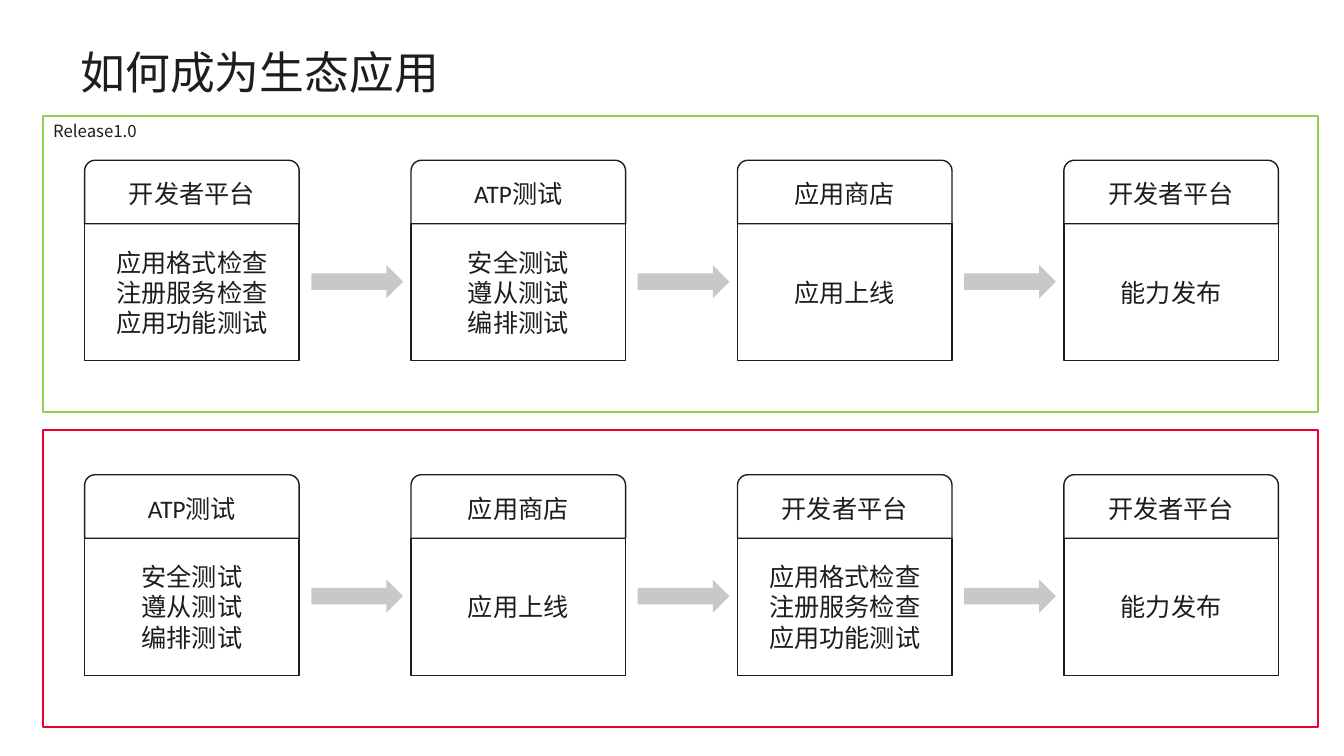
from lxml.etree import SubElement
from pptx import Presentation
from pptx.dml.color import RGBColor
from pptx.enum.shapes import MSO_SHAPE as Shape
from pptx.enum.text import MSO_ANCHOR as Anchor, PP_ALIGN as Align
from pptx.oxml.ns import qn
from pptx.util import Pt

EMU_PER_PX = 9144
INK = "1D1D1A"
ARROW_GREY = "C8C8C8"
CJK_FONT = "Noto Sans CJK SC"
CARD_LEFT, CARD_PITCH, CARD_WIDTH = 84, 324, 213
HEAD_HEIGHT, BODY_HEIGHT = 63, 136
PANEL_LEFT, PANEL_WIDTH, PANEL_HEIGHT = 43, 1265, 294

FORMAT_CHECK = ("开发者平台", "应用格式检查\n注册服务检查\n应用功能测试")
ATP_TEST = ("ATP测试", "安全测试\n遵从测试\n编排测试")
STORE = ("应用商店", "应用上线")
PUBLISH = ("开发者平台", "能力发布")
FLOWS = [
    (115, "92D050", [FORMAT_CHECK, ATP_TEST, STORE, PUBLISH]),
    (427, "E9002F", [ATP_TEST, STORE, FORMAT_CHECK, PUBLISH]),
]


def px(*lengths):
    """Turn px lengths into EMU."""
    return [length * EMU_PER_PX for length in lengths]


def color(value):
    """Turn a hex string into a colour."""
    return RGBColor.from_string(value)


def write_text(frame, text, size, font_name, align=Align.LEFT):
    """Fill a text frame with evenly formatted paragraphs."""
    frame.text = text
    frame.word_wrap = True
    for paragraph in frame.paragraphs:
        paragraph.alignment = align
        paragraph.font.size = Pt(size)
        paragraph.font.name = font_name
        paragraph.font.color.rgb = color(INK)
        properties = paragraph._p.pPr.find(qn("a:defRPr"))
        SubElement(properties, qn("a:ea"), typeface=CJK_FONT)


def add_box(slide, kind, box, fill=None, line=None, line_width=1):
    """Add a preset shape with an optional fill and outline."""
    shape = slide.shapes.add_shape(kind, *px(*box))
    shape.shadow.inherit = False
    if fill:
        shape.fill.solid()
        shape.fill.fore_color.rgb = color(fill)
    else:
        shape.fill.background()
    if line:
        shape.line.color.rgb = color(line)
        shape.line.width = Pt(line_width)
    else:
        shape.line.fill.background()
    return shape


def add_card(slide, left, top, heading, details):
    """Add a step card: a rounded heading on a body."""
    parts = [
        (Shape.RECTANGLE, top + HEAD_HEIGHT, BODY_HEIGHT, details),
        (Shape.ROUND_2_SAME_RECTANGLE, top, HEAD_HEIGHT, heading),
    ]
    for kind, part_top, height, text in parts:
        shape = add_box(slide, kind, (left, part_top, CARD_WIDTH, height), line=INK)
        shape.text_frame.vertical_anchor = Anchor.MIDDLE
        write_text(shape.text_frame, text, 18, "Calibri", Align.CENTER)


def add_flow(slide, top, outline, steps):
    """Add a framed row of step cards joined by arrows."""
    for index, (heading, details) in enumerate(steps):
        left = CARD_LEFT + index * CARD_PITCH
        add_card(slide, left, top + 44, heading, details)
        if index < len(steps) - 1:
            arrow = (left + CARD_WIDTH + 12, top + 148, 91, 33)
            add_box(slide, Shape.RIGHT_ARROW, arrow, fill=ARROW_GREY)
    panel = (PANEL_LEFT, top, PANEL_WIDTH, PANEL_HEIGHT)
    add_box(slide, Shape.RECTANGLE, panel, line=outline, line_width=1.5)


def add_title(slide, text):
    """Place and format the title placeholder."""
    title = slide.shapes.title
    title.left, title.top, title.width, title.height = px(80, 50, 1175, 109)
    frame = title.text_frame
    frame.margin_left = frame.margin_top = frame.margin_right = frame.margin_bottom = 0
    frame.vertical_anchor = Anchor.TOP
    write_text(frame, text, 32, CJK_FONT)
    frame.paragraphs[0].line_spacing = Pt(34.3)


def add_label(slide, text, box):
    """Add a small text label."""
    label = slide.shapes.add_textbox(*px(*box))
    write_text(label.text_frame, text, 12, CJK_FONT)


def main():
    """Build and save the slide."""
    presentation = Presentation()
    presentation.slide_width, presentation.slide_height = px(1334, 750)
    slide = presentation.slides.add_slide(presentation.slide_layouts[5])
    add_title(slide, "如何成为生态应用")
    for top, outline, steps in FLOWS:
        add_flow(slide, top, outline, steps)
    add_label(slide, "Release1.0", (PANEL_LEFT, 115, 119, 30))
    presentation.save("out.pptx")


if __name__ == "__main__":
    main()
